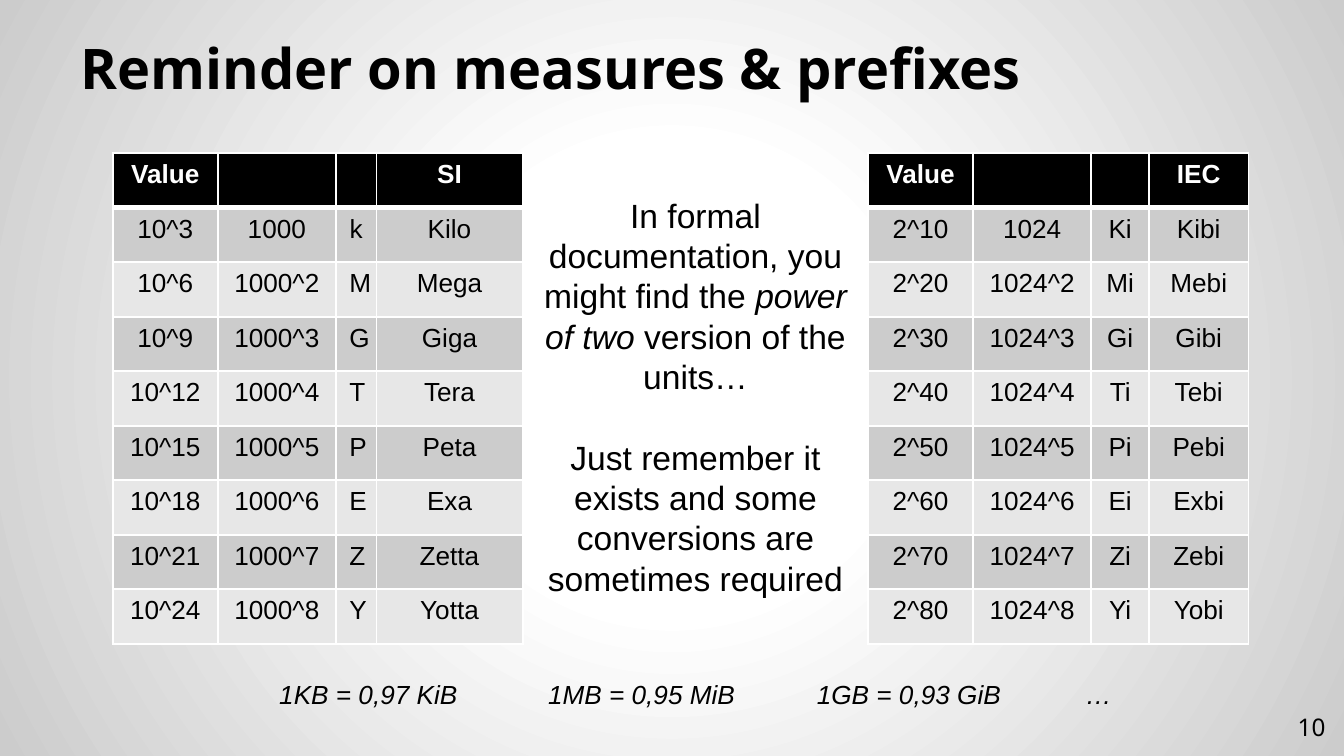
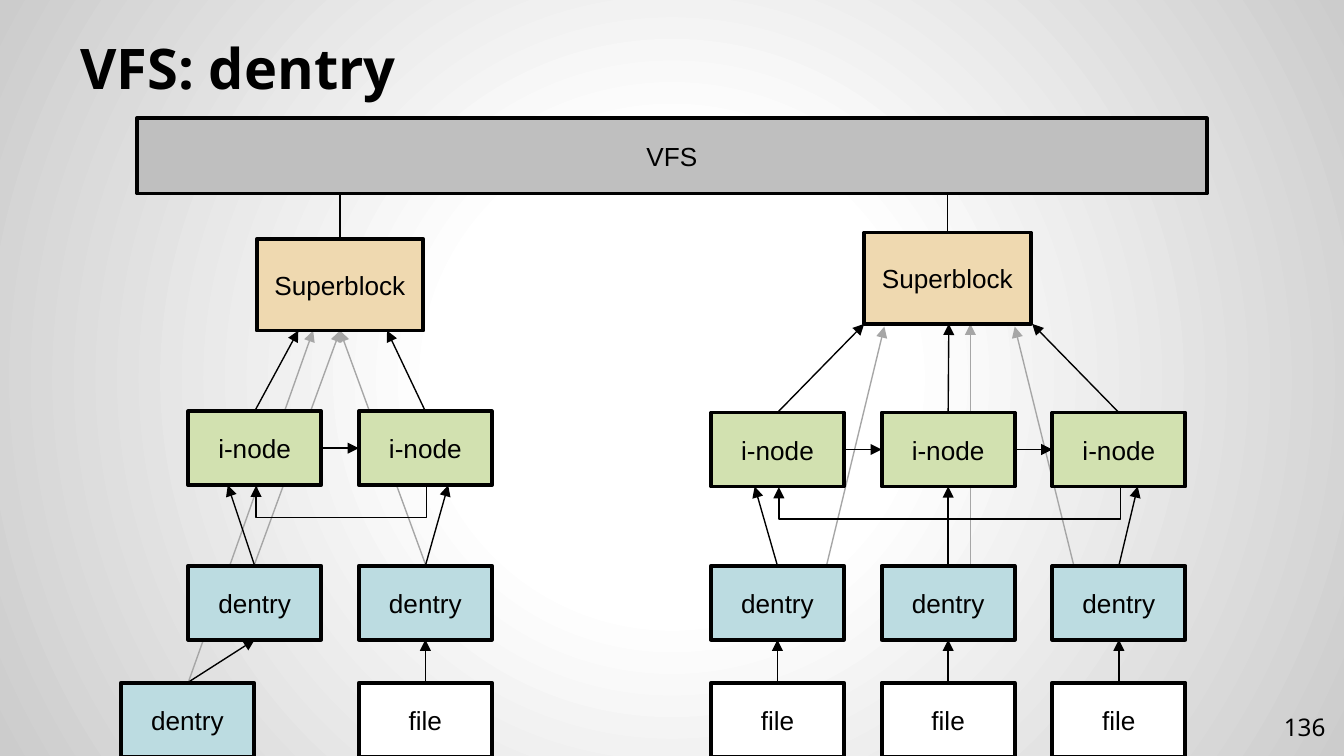
from dataclasses import dataclass

from lxml import etree
from pptx import Presentation
from pptx.dml.color import RGBColor
from pptx.enum.shapes import MSO_CONNECTOR, MSO_SHAPE
from pptx.enum.text import MSO_ANCHOR, PP_ALIGN
from pptx.oxml import parse_xml
from pptx.oxml.ns import nsdecls, qn
from pptx.util import Pt

STRAIGHT, ELBOW = MSO_CONNECTOR.STRAIGHT, MSO_CONNECTOR.ELBOW
RECTANGLE = MSO_SHAPE.RECTANGLE
LEFT, CENTER, RIGHT = PP_ALIGN.LEFT, PP_ALIGN.CENTER, PP_ALIGN.RIGHT
TOP, MIDDLE, BOTTOM = MSO_ANCHOR.TOP, MSO_ANCHOR.MIDDLE, MSO_ANCHOR.BOTTOM
# Connection sites of a rectangle
SITE_TOP, SITE_LEFT, SITE_BOTTOM, SITE_RIGHT = range(4)

EMU_PER_PX = 9144  # 100 px to the inch
SLIDE_W = 1000
SLIDE_H = SLIDE_W * 9 / 16


@dataclass(frozen=True)
class Theme:
    black: str = "000000"
    white: str = "FFFFFF"
    edge: str = "CCCCCC"
    bands: tuple = ("CCCCCC", "E7E7E7")
    vfs: str = "BFBFBF"
    superblock: str = "EFD9B0"
    inode: str = "D2E1B0"
    dentry: str = "BCDCE1"
    faint: str = "A6A6A6"
    heading_font: str = "Noto Sans"
    body_font: str = "Arial"
    title_size: int = 30
    number_size: int = 13
    body_size: int = 18
    label_size: int = 14


THEME = Theme()


def px(length):
    return round(length * EMU_PER_PX)


def rgb(value):
    return RGBColor.from_string(value)


def set_all(target, formats):
    for name, value in formats.items():
        setattr(target, name, value)


def write(paragraph, text, size, font=THEME.body_font, color=THEME.black,
          bold=False, italic=False, align=CENTER):
    paragraph.alignment = align
    run = paragraph.add_run()
    run.text = text
    set_all(run.font, dict(size=Pt(size), name=font, bold=bold, italic=italic))
    run.font.color.rgb = rgb(color)


def add_text_box(slide, box, anchor=TOP, inset=5):
    frame = slide.shapes.add_textbox(*map(px, box)).text_frame
    set_all(frame, dict(word_wrap=True, vertical_anchor=anchor,
                        margin_left=px(10), margin_right=px(10),
                        margin_top=px(inset), margin_bottom=px(inset)))
    return frame


# Shared look: background, title, page number
def paint_background(prs):
    master = prs.slide_master
    master.background.fill.solid()
    background = master.element.find(".//" + qn("p:bgPr"))
    stops = "".join(
        f'<a:gs pos="{pos}000"><a:srgbClr val="{color}"/></a:gs>'
        for pos, color in ((0, THEME.white), (30, THEME.white), (100, THEME.edge)))
    background.replace(background[0], parse_xml(
        f'<a:gradFill {nsdecls("a")} rotWithShape="1"><a:gsLst>{stops}</a:gsLst>'
        '<a:path path="circle"><a:fillToRect l="50000" t="50000" r="50000" b="50000"/>'
        '</a:path></a:gradFill>'))


def start_slide(prs, title, number):
    slide = prs.slides.add_slide(prs.slide_layouts[6])
    heading = add_text_box(slide, (50, 23, 900, 62), BOTTOM, 10)
    write(heading.paragraphs[0], title, THEME.title_size, THEME.heading_font,
          bold=True, align=LEFT)
    page = add_text_box(slide, (936, 519, 60, 43), MIDDLE, 10)
    write(page.paragraphs[0], str(number), THEME.number_size, THEME.heading_font,
          align=RIGHT)
    return slide


# Prefix tables
def style_cell(cell, fill, bottom_width):
    props = cell._tc.get_or_add_tcPr()
    for side, width in (("L", 1), ("R", 1), ("T", 1), ("B", bottom_width)):
        props.append(parse_xml(
            f'<a:ln{side} {nsdecls("a")} w="{Pt(width)}"><a:solidFill>'
            f'<a:srgbClr val="{THEME.white}"/></a:solidFill></a:ln{side}>'))
    cell.fill.solid()
    cell.fill.fore_color.rgb = rgb(fill)


def add_prefix_table(slide, left, top, height, widths, system, rows):
    grid_rows = [("Value", "", "", system), *rows]
    table = slide.shapes.add_table(
        len(grid_rows), len(widths), px(left), px(top), px(sum(widths)), px(height)).table
    for column, width in zip(table.columns, widths):
        column.width = px(width)
    for r, entries in enumerate(grid_rows):
        table.rows[r].height = px(height / len(grid_rows))
        header = r == 0
        for c, entry in enumerate(entries):
            cell = table.cell(r, c)
            style_cell(cell, THEME.black if header else THEME.bands[(r - 1) % 2],
                       3 if header else 1)
            if entry:
                write(cell.text_frame.paragraphs[0], entry, THEME.label_size,
                      color=THEME.white if header else THEME.black, bold=header)


def prefix_rows(base, exponent_step, thousand, symbols, names):
    return [(f"{base}^{exponent_step * n}", thousand if n == 1 else f"{thousand}^{n}",
             symbol, name)
            for n, (symbol, name) in enumerate(zip(symbols, names), start=1)]


def add_advice(slide, box):
    frame = add_text_box(slide, box)
    line_height = Pt(21.6)
    formal, reminder = frame.paragraphs[0], frame.add_paragraph()
    for text, italic in (("In formal documentation, you might find the ", False),
                         ("power of two", True), (" version of the units…", False)):
        write(formal, text, THEME.body_size, italic=italic)
    write(reminder, "Just remember it exists and some conversions are sometimes required",
          THEME.body_size)
    formal.line_spacing = reminder.line_spacing = line_height
    reminder.space_before = line_height


def add_conversions(slide, box):
    conversions = ("1KB = 0,97 KiB", "1MB = 0,95 MiB", "1GB = 0,93 GiB", "…")
    line = add_text_box(slide, box).paragraphs[0]
    tabs = etree.SubElement(line._p.get_or_add_pPr(), qn("a:tabLst"))
    for n in range(1, len(conversions)):
        etree.SubElement(tabs, qn("a:tab"), pos=str(px(200 * n)), algn="l")
    write(line, "\t".join(conversions), THEME.label_size, italic=True)


def build_prefixes(prs):
    slide = start_slide(prs, "Reminder on measures & prefixes", 10)
    letters = "MGTPEZY"
    si_names = ("Kilo", "Mega", "Giga", "Tera", "Peta", "Exa", "Zetta", "Yotta")
    iec_names = ("Kibi", "Mebi", "Gibi", "Tebi", "Pebi", "Exbi", "Zebi", "Yobi")
    iec_symbols = [letter + "i" for letter in "K" + letters]
    add_prefix_table(slide, 84, 114, 365, (78, 88, 30, 109), "SI",
                     prefix_rows(10, 3, "1000", "k" + letters, si_names))
    add_prefix_table(slide, 646, 114, 365, (78, 88, 43, 74), "IEC",
                     prefix_rows(2, 10, "1024", iec_symbols, iec_names))
    add_advice(slide, (389, 140, 257, 313))
    add_conversions(slide, (99, 500, 837, 34))


# Diagram parts
def add_node(slide, label, fill, box):
    node = slide.shapes.add_shape(RECTANGLE, *map(px, box))
    node.shadow.inherit = False
    node.fill.solid()
    node.fill.fore_color.rgb = rgb(fill)
    node.line.color.rgb = rgb(THEME.black)
    node.line.width = Pt(2)
    node.text_frame.vertical_anchor = MIDDLE
    write(node.text_frame.paragraphs[0], label, THEME.label_size)
    return node


def add_line(slide, start, end, color=THEME.black, arrow=True, kind=STRAIGHT):
    line = slide.shapes.add_connector(kind, *map(px, (*start, *end)))
    line.line.color.rgb = rgb(color)
    line.line.width = Pt(0.75)
    props = line._element.spPr
    if arrow:
        etree.SubElement(props.find(qn("a:ln")), qn("a:tailEnd"), type="triangle")
    etree.SubElement(props, qn("a:effectLst"))
    return line


def link(slide, source, source_site, target, target_site):
    line = add_line(slide, (0, 0), (0, 0))
    line.begin_connect(source, source_site)
    line.end_connect(target, target_site)


def add_return_arrow(slide, first_x, last_x, y, drop=25):
    """U-shaped arrow below a row: an elbow turned a quarter clockwise."""
    middle, half = (first_x + last_x) / 2, (last_x - first_x) / 2
    arrow = add_line(slide, (middle - 0.5, y - half), (middle + 0.5, y + half), kind=ELBOW)
    props = arrow._element.spPr
    props.find(qn("a:xfrm")).set("rot", "5400000")
    geometry = props.find(qn("a:prstGeom"))
    adjusts = geometry.find(qn("a:avLst"))
    if adjusts is None:
        adjusts = etree.SubElement(geometry, qn("a:avLst"))
    etree.SubElement(adjusts, qn("a:gd"), name="adj1", fmla=f"val {drop * 100000}")


NODE_W, NODE_H, NODE_PITCH = 99, 55, 127
SUPER_W, SUPER_H = 124, 68
VFS_BOX = (102, 88, 796, 56)


def add_file_system(slide, left, top, layout):
    """Superblock, i-nodes, dentries and leaves; layout offsets start at left, top."""
    columns = [left + NODE_PITCH * n for n in range(len(layout["inode_heads"]))]
    centers = [x + NODE_W / 2 for x in columns]
    inode_y, dentry_y, leaf_y = (top + dy for dy in layout["rows"])
    super_x, super_bottom = left + layout["super_dx"], top + SUPER_H

    # Faint arrows from dentries to the superblock, behind the nodes
    for x1, y1, x2, y2 in layout["faint"]:
        add_line(slide, (left + x1, top + y1), (left + x2, top + y2), THEME.faint)

    # Nodes
    add_node(slide, "Superblock", THEME.superblock, (super_x, top, SUPER_W, SUPER_H))
    inodes = [add_node(slide, "i-node", THEME.inode, (x, inode_y, NODE_W, NODE_H))
              for x in columns]
    dentries = [add_node(slide, "dentry", THEME.dentry, (x, dentry_y, NODE_W, NODE_H))
                for x in columns]

    # Arrows up to the superblock and the i-nodes
    super_center = super_x + SUPER_W / 2
    add_line(slide, (super_center, top), (super_center, VFS_BOX[1] + VFS_BOX[3]), arrow=False)
    inode_bottom = inode_y + NODE_H
    for center, head, shift in zip(centers, layout["inode_heads"], layout["dentry_shifts"]):
        add_line(slide, (center, inode_y), (left + head, super_bottom))
        add_line(slide, (center, dentry_y), (center + shift, inode_bottom))

    # Chain of i-nodes
    for inode, following in zip(inodes, inodes[1:]):
        link(slide, inode, SITE_RIGHT, following, SITE_LEFT)
    add_return_arrow(slide, centers[0] + 1, centers[-1] + 1, inode_bottom)

    # Leaves under the dentries
    for label, fill, dx, parent in layout["leaves"]:
        leaf = add_node(slide, label, fill, (left + dx, leaf_y, NODE_W, NODE_H))
        link(slide, leaf, SITE_TOP, dentries[parent], SITE_BOTTOM)


TWO_INODES = dict(
    super_dx=51, rows=(128, 243, 330),
    inode_heads=(82, 148), dentry_shifts=(-20, 17),
    faint=((0, 330, 93, 68), (49, 243, 113, 68), (177, 243, 113, 68)),
    leaves=(("dentry", THEME.dentry, -50, 0), ("file", THEME.white, NODE_PITCH, 1)))

THREE_INODES = dict(
    super_dx=114, rows=(134, 248, 335),
    inode_heads=(114, 177, 239), dentry_shifts=(-17, 0, 14),
    faint=((84, 256, 129, 70), (272, 256, 226, 70), (193, 265, 193, 68)),
    leaves=[("file", THEME.white, NODE_PITCH * n, n) for n in range(3)])


def build_dentry(prs):
    slide = start_slide(prs, "VFS: dentry", 136)
    add_node(slide, "VFS", THEME.vfs, VFS_BOX)
    add_file_system(slide, 140, 178, TWO_INODES)
    add_file_system(slide, 529, 173, THREE_INODES)


def main():
    prs = Presentation()
    set_all(prs, dict(slide_width=px(SLIDE_W), slide_height=px(SLIDE_H)))
    paint_background(prs)
    build_prefixes(prs)
    build_dentry(prs)
    prs.save("out.pptx")


if __name__ == "__main__":
    main()
